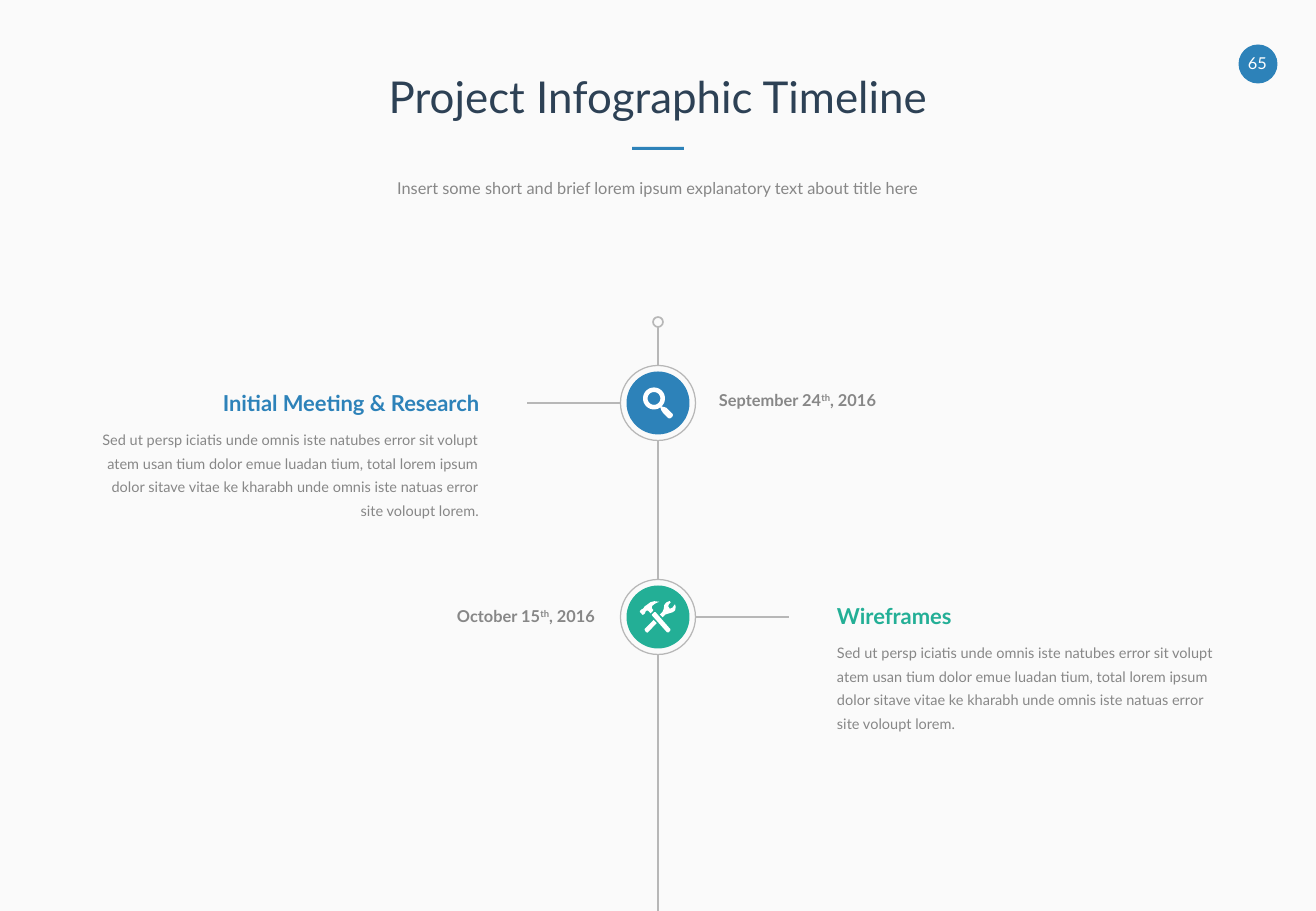
from math import cos, pi, sin

from lxml.etree import SubElement
from pptx import Presentation
from pptx.dml.color import RGBColor
from pptx.enum.shapes import MSO_CONNECTOR, MSO_SHAPE
from pptx.enum.text import MSO_ANCHOR, PP_ALIGN
from pptx.oxml.ns import qn
from pptx.util import Emu, Pt

PX = 914400 / 121.5  # EMU in one px
WIDTH, HEIGHT = 1316, 911
AXIS = WIDTH // 2
RING, DISC = 75, 63
BLUE, GREEN, NAVY = "2D82B9", "23AF96", "2D4155"
GRAY, RULE, WHITE, PAPER = "878787", "B7B7B7", "FFFFFF", "FAFAFA"

# Text formats
TITLE = {"size": Pt(26)}
SMALL = {"size": Pt(9.7)}
DATE = {"size": Pt(9.7), "bold": True}
HEADING = {"size": Pt(13), "bold": True}
BODY = {"size": Pt(8.6)}

BODY_TEXT = (
    "Sed ut persp iciatis unde omnis iste natubes error sit volupt atem usan "
    "tium dolor emue luadan tium, total lorem ipsum dolor sitave vitae ke "
    "kharabh unde omnis iste natuas error site voloupt lorem."
)


def circle(x, y, radius, steps=48):
    """Outline points; a negative radius runs the other way round."""
    turn = 2 * pi / steps * (1 if radius > 0 else -1)
    return [(x + abs(radius) * cos(i * turn), y + abs(radius) * sin(i * turn))
            for i in range(steps)]


# Icon outlines, in tenths of a px from the centre of the disc
SEARCH = [
    circle(-40, -45, 110),
    circle(-40, -45, -64),
    [(24, 43), (32, 72), (49, 97), (97, 146), (108, 154), (121, 155),
     (142, 140), (150, 122), (146, 109), (85, 49), (60, 40), (36, 36)],
]
TOOLS = [
    # Wrench handle and head
    [(-134, 121), (-130, 136), (-118, 152), (-103, 156), (-12, 61), (-43, 30)],
    [(172, -125), (165, -122), (148, -95), (120, -82), (103, -105),
     (109, -125), (128, -146), (118, -160), (88, -148), (64, -122),
     (58, -80), (45, -50), (20, -24), (48, 3), (73, -24), (110, -36),
     (150, -48), (172, -66), (178, -100)],
    # Hammer handle and head
    [(-24, -49), (-36, -49), (-61, -24), (-61, -18), (88, 150), (100, 155),
     (110, 152), (124, 134), (124, 121)],
    [(-122, -58), (-108, -66), (-92, -58), (-73, -36), (-49, -62),
     (-46, -70), (-61, -88), (-58, -110), (-30, -133), (12, -152),
     (-36, -158), (-75, -148), (-109, -122), (-134, -105), (-146, -85),
     (-165, -75), (-180, -60), (-180, -50), (-155, -22), (-145, -24),
     (-130, -36)],
]


def px(n):
    return Emu(round(n * PX))


def rgb(value):
    return RGBColor.from_string(value)


def paint(sp, fill=None, line=None, weight=1):
    sp.shadow.inherit = False
    if fill:
        sp.fill.solid()
        sp.fill.fore_color.rgb = rgb(fill)
    else:
        sp.fill.background()
    if line:
        sp.line.color.rgb = rgb(line)
        sp.line.width = Pt(weight)
    else:
        sp.line.fill.background()
    return sp


def add_rect(s, x, y, w, h, fill):
    return paint(s.shapes.add_shape(MSO_SHAPE.RECTANGLE, px(x), px(y), px(w), px(h)), fill)


def add_disc(s, x, y, size, **look):
    sp = s.shapes.add_shape(MSO_SHAPE.OVAL, px(x - size / 2), px(y - size / 2),
                            px(size), px(size))
    return paint(sp, **look)


def add_icon(s, x, y, outlines):
    builder = None
    for points in outlines:
        if builder is None:
            builder = s.shapes.build_freeform(*points[0], scale=PX / 10)
        else:
            builder.move_to(*points[0])
        builder.add_line_segments(points[1:], close=True)
    return paint(builder.convert_to_shape(px(x), px(y)), WHITE)


def add_line(s, x1, y1, x2, y2):
    line = s.shapes.add_connector(MSO_CONNECTOR.STRAIGHT, px(x1), px(y1), px(x2), px(y2))
    line.line.color.rgb = rgb(RULE)
    line.line.width = Pt(1)
    SubElement(line._element.spPr, qn("a:effectLst"))
    return line


def add_text(s, x, y, w, h, runs, style, color, align=PP_ALIGN.CENTER, spacing=None):
    """Every second run is raised."""
    tf = s.shapes.add_textbox(px(x), px(y), px(w), px(h)).text_frame
    frame = {"word_wrap": True, "vertical_anchor": MSO_ANCHOR.TOP, "margin_left": 0,
             "margin_right": 0, "margin_top": 0, "margin_bottom": 0}
    for name, value in frame.items():
        setattr(tf, name, value)
    p = tf.paragraphs[0]
    p.alignment = align
    if spacing:
        p.line_spacing = spacing
    for i, text in enumerate(runs):
        r = p.add_run()
        r.text = text
        for name, value in {"name": "Lato", **style}.items():
            setattr(r.font, name, value)
        r.font.color.rgb = rgb(color)
        if i % 2:
            r._r.get_or_add_rPr().set("baseline", "30000")


def add_milestone(s, y, side, color, icon, heading, heading_y, date, date_gap, date_y):
    """Place the heading on the given side (-1 left, 1 right), the date opposite."""
    def beside(direction, gap, w):
        left = AXIS + gap if direction > 0 else AXIS - gap - w
        return left, PP_ALIGN.LEFT if direction > 0 else PP_ALIGN.RIGHT

    add_disc(s, AXIS, y, DISC, fill=color)
    add_icon(s, AXIS, y, icon)
    ring = add_disc(s, AXIS, y, RING, line=RULE, weight=0.75)
    add_line(s, AXIS + side * RING / 2, y, AXIS + side * 131, y)

    x, align = beside(side, 179, 380)
    add_text(s, x, heading_y, 380, 27, [heading], HEADING, color, align)
    add_text(s, x, heading_y + 35, 380, 96, [BODY_TEXT], BODY, GRAY, align, 1.35)
    x, align = beside(-side, date_gap, 214)
    add_text(s, x, date_y, 214, 19, date, DATE, GRAY, align)
    return ring


def main():
    prs = Presentation()
    prs.slide_width, prs.slide_height = px(WIDTH), px(HEIGHT)
    s = prs.slides.add_slide(prs.slide_layouts[6])
    s.background.fill.solid()
    s.background.fill.fore_color.rgb = rgb(PAPER)

    # Page number
    add_disc(s, 1258, 64, 39, fill=BLUE)
    add_text(s, 1241, 53, 33, 19, ["65"], SMALL, WHITE)

    # Title block
    add_rect(s, AXIS - 26, 147, 52, 3, BLUE)
    add_text(s, 98, 70, 1120, 58, ["Project Infographic Timeline"], TITLE, NAVY)
    add_text(s, 98, 178, 1120, 24,
             ["Insert some short and brief lorem ipsum explanatory text about title here"],
             SMALL, GRAY)

    # Milestones, joined by the stem
    milestones = [
        (403, -1, BLUE, SEARCH, "Initial Meeting & Research", 390,
         ["September 24", "th", ", 2016"], 61, 390),
        (617, 1, GREEN, TOOLS, "Wireframes", 603,
         ["October 15", "th", ", 2016"], 63, 606),
    ]
    add_disc(s, AXIS, 322, 10, line=RULE)
    stem_y = 327
    for milestone in milestones:
        ring = add_milestone(s, *milestone)
        y = milestone[0]
        add_line(s, AXIS, stem_y, AXIS, y - RING / 2).end_connect(ring, 0)
        stem_y = y + RING / 2
    add_line(s, AXIS, stem_y, AXIS, HEIGHT)

    prs.save("out.pptx")


if __name__ == "__main__":
    main()
